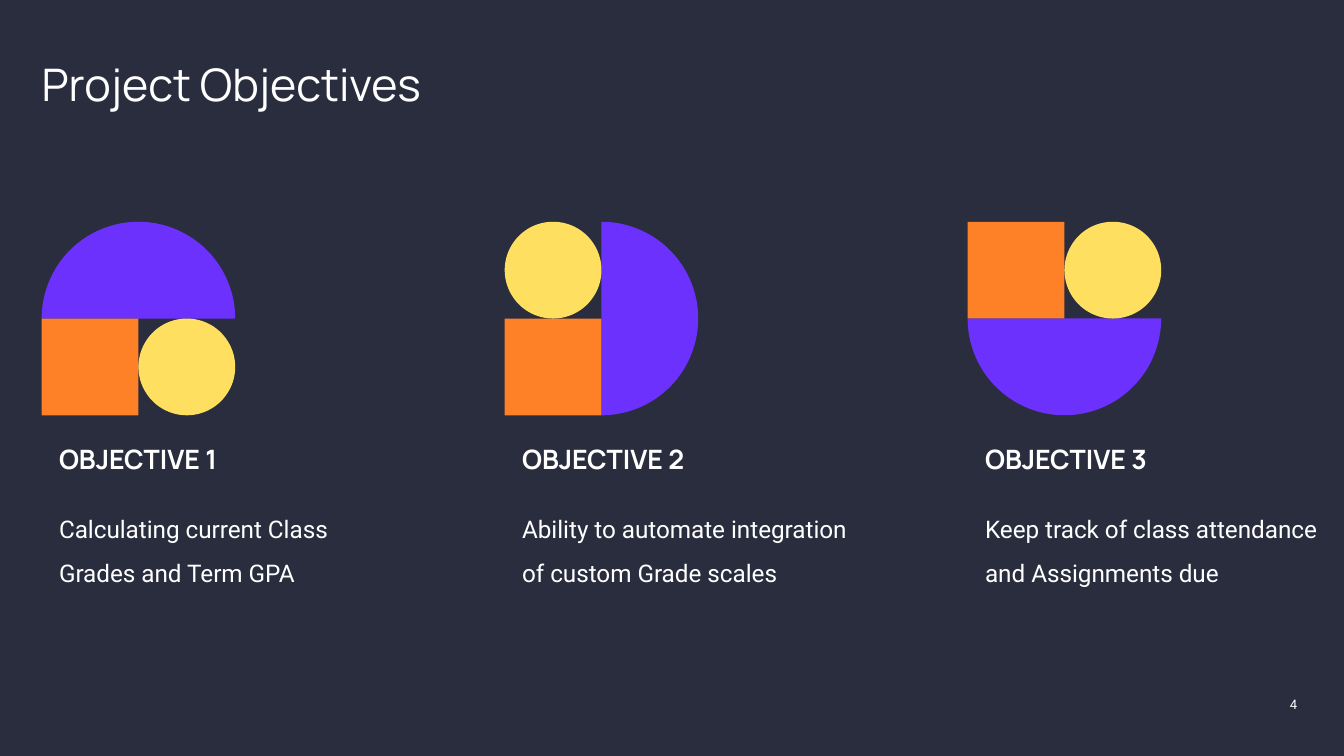
"""Build the Project Objectives slide: three columns, each with a geometric emblem and its text."""
from pptx import Presentation
from pptx.dml.color import RGBColor
from pptx.enum.shapes import MSO_SHAPE as Shape
from pptx.enum.text import MSO_ANCHOR as Anchor, PP_ALIGN as Align
from pptx.util import Inches, Pt

COLORS = {
    "background": "292D3E",
    "text": "FFFFFF",
    "half": "6D31FD",
    "square": "FF8127",
    "circle": "FFDF5F",
}
TITLE = "Project Objectives"
PAGE_NUMBER = "4"
OBJECTIVES = [
    {"heading": "OBJECTIVE 1", "body": "Calculating current Class Grades and Term GPA",
     "turn": 180, "square": (0, 1), "circle": (1, 1)},
    {"heading": "OBJECTIVE 2", "body": "Ability to automate integration of custom Grade scales",
     "turn": 270, "square": (0, 1), "circle": (0, 0)},
    {"heading": "OBJECTIVE 3", "body": "Keep track of class attendance and Assignments due",
     "turn": 0, "square": (0, 0), "circle": (1, 0)},
]
WIDTH = 10
HEIGHT = WIDTH * 9 / 16
LEFT, COLUMN_WIDTH = 0.31, 2.8
COLUMN_STEP = (WIDTH - COLUMN_WIDTH - LEFT) / (len(OBJECTIVES) - 1)
EMBLEM_TOP, CELL = 1.65, 0.72
HEADING_TOP, BODY_TOP = 3, 3.59


def color(name):
    return RGBColor.from_string(COLORS[name])


def add_text(page, text, area, size, font, insets, bold=False,
             spacing=1.0, align=Align.LEFT, anchor=Anchor.TOP):
    box = page.shapes.add_textbox(*map(Inches, area))
    frame = box.text_frame
    frame.word_wrap = True
    frame.vertical_anchor = anchor
    frame.margin_left, frame.margin_top, frame.margin_right, frame.margin_bottom = map(Inches, insets)
    para = frame.paragraphs[0]
    para.alignment = align
    para.line_spacing = spacing
    span = para.add_run()
    span.text = text
    span.font.name = font
    span.font.size = Pt(size)
    span.font.bold = bold
    span.font.color.rgb = color("text")


def add_figure(page, kind, left, top, size, fill):
    figure = page.shapes.add_shape(kind, *map(Inches, (left, top, size, size)))
    figure.shadow.inherit = False
    figure.fill.solid()
    figure.fill.fore_color.rgb = color(fill)
    figure.line.fill.background()
    return figure


def add_emblem(page, left, objective):
    half = add_figure(page, Shape.PIE, left, EMBLEM_TOP, 2 * CELL, "half")
    half.adjustments[0] = 0
    half.adjustments[1] = 108
    half.rotation = objective["turn"]
    for name, kind in (("square", Shape.RECTANGLE), ("circle", Shape.OVAL)):
        column, row = objective[name]
        add_figure(page, kind, left + column * CELL, EMBLEM_TOP + row * CELL, CELL, name)


def main():
    deck = Presentation()
    deck.slide_width, deck.slide_height = Inches(WIDTH), Inches(HEIGHT)
    page = deck.slides.add_slide(deck.slide_layouts[6])
    page.background.fill.solid()
    page.background.fill.fore_color.rgb = color("background")

    add_text(page, PAGE_NUMBER, (7.35, 5.12, 2.4, 0.32), 7, "Roboto", [0.1] * 4, align=Align.RIGHT)
    add_text(page, TITLE, (LEFT, 0.47, 4.79, 0.47), 24, "Manrope", (0, 0, 0.1, 0), spacing=0.9)
    for index, objective in enumerate(OBJECTIVES):
        left = LEFT + index * COLUMN_STEP
        add_text(page, objective["heading"], (left, HEADING_TOP, COLUMN_WIDTH, 0.66), 14.3,
                 "Manrope", [0.13] * 4, bold=True, spacing=1.5, anchor=Anchor.BOTTOM)
        add_text(page, objective["body"], (left, BODY_TOP, COLUMN_WIDTH, 0.7), 13,
                 "Roboto", [0.13] * 4, spacing=1.5)
        add_emblem(page, left, objective)
    deck.save("out.pptx")


if __name__ == "__main__":
    main()
